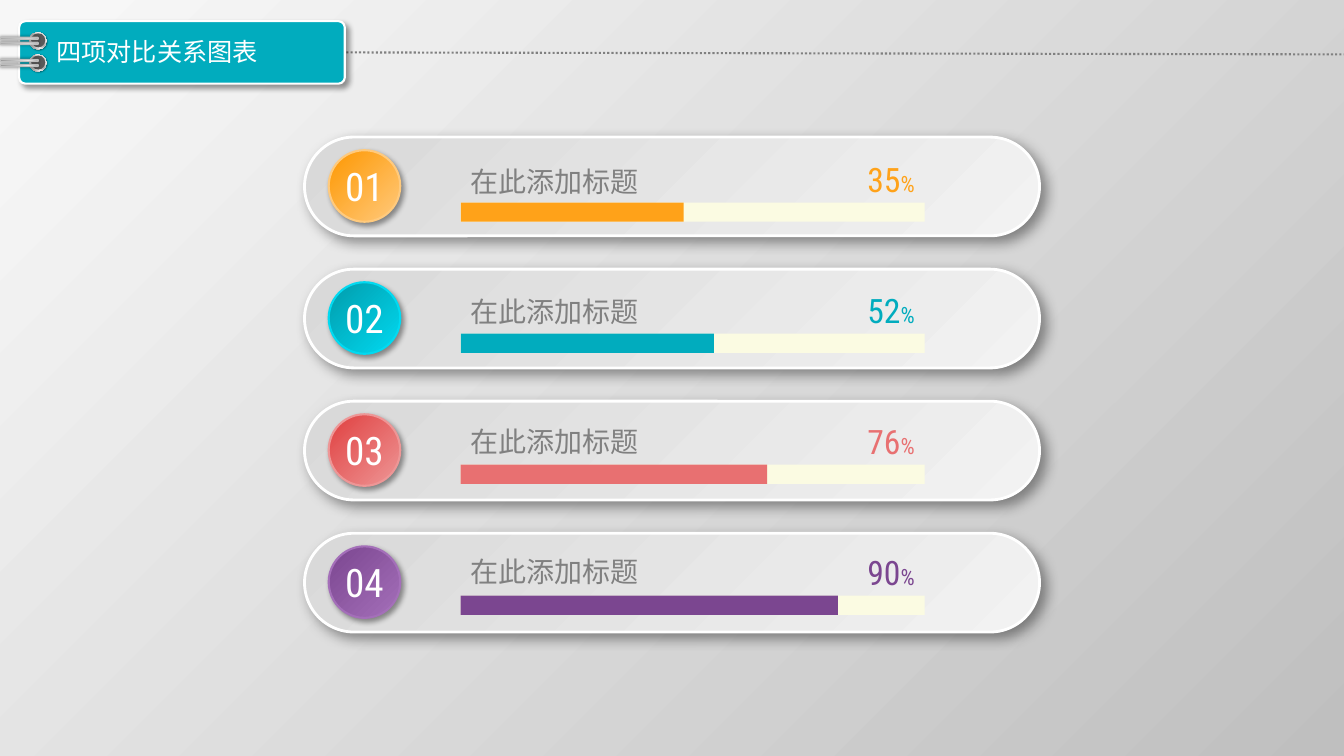
from dataclasses import dataclass

from lxml import etree
from pptx import Presentation
from pptx import util as u
from pptx.dml.color import RGBColor
from pptx.enum import dml, shapes, text
from pptx.oxml import ns

PX = 9144
KIND = shapes.MSO_SHAPE


@dataclass(frozen=True)
class Theme:
    white: str = "FFFFFF"
    accent: str = "01ACBE"
    grey: str = "808080"
    hole: str = "595959"
    rod_edge: str = "BFBFBF"
    track: str = "FBFBE2"
    backdrop: tuple = ((3, "F7F7F7"), (100, "BFBFBF"))
    card: tuple = ((0, "D9D9D9"), (100, "F2F2F2"))
    ring: tuple = ((0, "FFFFFF"), (17, "A6A6A6"), (35, "F2F2F2"),
                   (55, "A6A6A6"), (75, "F2F2F2"), (100, "A6A6A6"))
    rod: tuple = ((0, "808080"), (23, "A6A6A6"), (52, "D9D9D9"),
                  (74, "FFFFFF"), (100, "A6A6A6"))
    heading_font: str = "Noto Sans CJK JP"
    label_font: str = "Noto Sans CJK SC"
    number_font: str = "Roboto Condensed"
    heading_size: int = 18
    label_size: int = 20
    badge_size: int = 28
    percent_size: int = 24
    sign_size: int = 16


@dataclass(frozen=True)
class Item:
    number: str
    percent: str
    colour: str
    dark: str
    light: str
    filled: int


THEME = Theme()
LABEL = "在此添加标题"
ITEMS = (
    Item("01", "35", "FFA219", "FE9700", "FFCA7D", 221),
    Item("02", "52", "01ACBE", "019BAB", "01DAF1", 251),
    Item("03", "76", "E87071", "E04040", "EE9696", 304),
    Item("04", "90", "7B4690", "7B4690", "A46FB9", 374),
)


def rgb(value):
    return RGBColor.from_string(value)


def emu(*lengths):
    return [length * PX for length in lengths]


def add_gradient(parent, stops, angle):
    solid = parent.find(ns.qn("a:solidFill"))
    gradient = etree.Element(ns.qn("a:gradFill"), rotWithShape="1")
    stop_list = etree.SubElement(gradient, ns.qn("a:gsLst"))
    for position, colour in stops:
        stop = etree.SubElement(stop_list, ns.qn("a:gs"), pos=str(position * 1000))
        etree.SubElement(stop, ns.qn("a:srgbClr"), val=colour)
    etree.SubElement(gradient, ns.qn("a:lin"), ang=str(angle * 60000), scaled="0")
    parent.replace(solid, gradient)


def add_shadow(shape, blur, distance, angle):
    effects = shape._element.spPr.find(ns.qn("a:effectLst"))
    outer = etree.SubElement(
        effects, ns.qn("a:outerShdw"), blurRad=str(u.Pt(blur)),
        dist=str(u.Pt(distance)), dir=str(angle * 60000), algn="tl", rotWithShape="0")
    black = etree.SubElement(outer, ns.qn("a:srgbClr"), val="000000")
    etree.SubElement(black, ns.qn("a:alpha"), val="40000")


def add_shape(slide, kind, box, fill, line=None, shadow=None, radius=None,
              rotation=0, angle=45):
    shape = slide.shapes.add_shape(kind, *emu(*box))
    shape.rotation = rotation
    shape.shadow.inherit = False
    if radius is not None:
        shape.adjustments[0] = radius
    shape.fill.solid()
    if isinstance(fill, str):
        shape.fill.fore_color.rgb = rgb(fill)
    else:
        add_gradient(shape._element.spPr, fill, angle)
    if line:
        colour, weight = line
        shape.line.color.rgb = rgb(colour)
        shape.line.width = u.Pt(weight)
    else:
        shape.line.fill.background()
    if shadow:
        add_shadow(shape, *shadow)


def add_text(slide, box, runs, font, colour, align=text.PP_ALIGN.LEFT):
    frame = slide.shapes.add_textbox(*emu(*box)).text_frame
    frame.word_wrap = True
    frame.auto_size = text.MSO_AUTO_SIZE.SHAPE_TO_FIT_TEXT
    paragraph = frame.paragraphs[0]
    paragraph.alignment = align
    for words, size in runs:
        run = paragraph.add_run()
        run.text = words
        run.font.size = u.Pt(size)
        run.font.color.rgb = rgb(colour)
        run.font.name = font
        etree.SubElement(run._r.get_or_add_rPr(), ns.qn("a:ea"), typeface=font)
    return frame


def draw_binding(slide, left, top):
    ring_tops = (top + 22, top)
    for ring_top in ring_tops:
        add_shape(slide, KIND.OVAL, (left + 29, ring_top, 17, 17), THEME.ring,
                  shadow=(1, 1, 45), rotation=270)
        add_shape(slide, KIND.OVAL, (left + 31, ring_top + 1, 14, 14), THEME.hole,
                  rotation=270)
    for ring_top in ring_tops:
        for lift in (8, 13):
            add_shape(slide, KIND.ROUNDED_RECTANGLE, (left + 18, ring_top - lift, 2, 38),
                      THEME.rod, (THEME.rod_edge, 1), (2, 0, 0), 0.5, 270, 90)


def draw_header(slide, box):
    left, top, width, height = box
    rule = slide.shapes.add_connector(
        shapes.MSO_CONNECTOR.STRAIGHT,
        *emu(left + width - 11, top + 31, 1333, top + 33))
    rule.line.color.rgb = rgb(THEME.grey)
    rule.line.width = u.Pt(1.5)
    rule.line.dash_style = dml.MSO_LINE.ROUND_DOT
    etree.SubElement(rule._element.spPr, ns.qn("a:effectLst"))
    add_shape(slide, KIND.ROUNDED_RECTANGLE, box, THEME.accent, (THEME.white, 1.5),
              (4, 3, 45), 0.1)
    draw_binding(slide, left - 19, top + 11)
    heading = add_text(slide, (left + 27, top + 2, 334, 60),
                       [("四项对比关系图表", THEME.heading_size)],
                       THEME.heading_font, THEME.white)
    heading.auto_size = text.MSO_AUTO_SIZE.NONE
    heading.vertical_anchor = text.MSO_ANCHOR.MIDDLE
    heading.paragraphs[0].line_spacing = 0.9


def draw_card(slide, box, item):
    left, top, width, height = box
    add_shape(slide, KIND.ROUNDED_RECTANGLE, box, THEME.card, (THEME.white, 2),
              (9, 5, 45), 0.5)
    add_shape(slide, KIND.OVAL, (left + 24, top + 13, 71, 71),
              ((0, item.dark), (100, item.light)), (item.light, 1.5), (4, 3, 45))
    add_text(slide, (left + 19, top + 20, 81, 57), [(item.number, THEME.badge_size)],
             THEME.number_font, THEME.white, text.PP_ALIGN.CENTER)


def draw_progress(slide, box, item):
    left, top, width, height = box
    add_shape(slide, KIND.RECTANGLE, box, THEME.track)
    add_shape(slide, KIND.RECTANGLE, (left, top, item.filled, height), item.colour)
    add_text(slide, (left + width - 105, top - 48, 105, 50),
             [(item.percent, THEME.percent_size), ("%", THEME.sign_size)],
             THEME.number_font, item.colour, text.PP_ALIGN.RIGHT)


def draw_label(slide, box):
    add_text(slide, box, [(LABEL, THEME.label_size)], THEME.label_font, THEME.grey)


def main():
    deck = Presentation()
    deck.slide_width, deck.slide_height = emu(1333, 750)
    slide = deck.slides.add_slide(deck.slide_layouts[6])
    slide.background.fill.solid()
    add_gradient(next(slide._element.iter(ns.qn("p:bgPr"))), THEME.backdrop, 45)
    draw_header(slide, (19, 21, 323, 62))
    for row, item in enumerate(ITEMS):
        draw_card(slide, (302, 136 + 131 * row, 729, 98), item)
        draw_progress(slide, (457, 201 + 130 * row, 460, 19), item)
        draw_label(slide, (457, 158 + 129 * row, 251, 44))
    deck.save("out.pptx")


if __name__ == "__main__":
    main()
